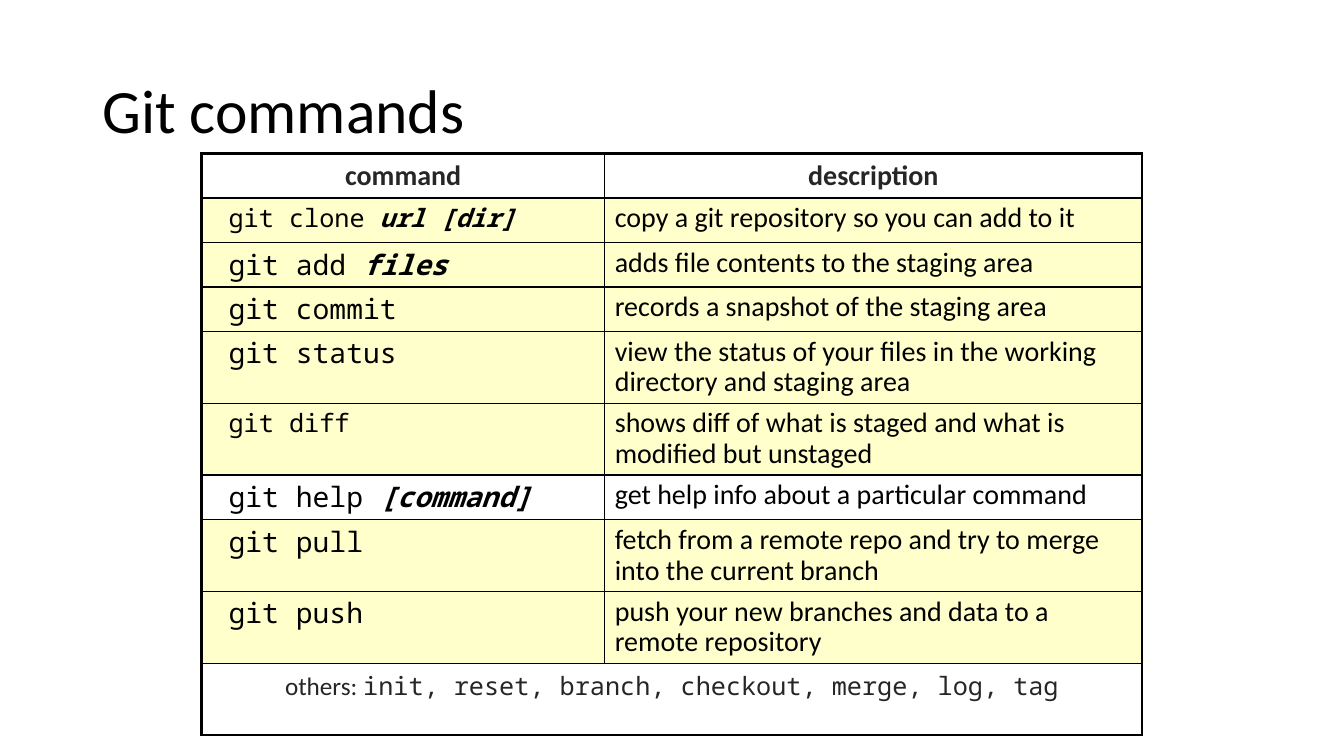
from dataclasses import dataclass

from lxml.etree import SubElement
from pptx import Presentation
from pptx.dml.color import RGBColor
from pptx.enum.text import MSO_ANCHOR, PP_ALIGN
from pptx.oxml.ns import qn
from pptx.util import Cm, Pt


@dataclass(frozen=True)
class Theme:
    ink: RGBColor = RGBColor(0, 0, 0)
    soft_ink: RGBColor = RGBColor(0x26, 0x26, 0x26)
    highlight: RGBColor = RGBColor(0xFF, 0xFF, 0xCC)
    sans: str = "Calibri"
    mono: str = "Noto Sans Mono"
    title_size: Pt = Pt(44)
    body_size: Pt = Pt(20)
    small_size: Pt = Pt(18)
    outer_line: Pt = Pt(2.25)
    inner_line: Pt = Pt(1)


theme = Theme()


def style(paragraph, size, face=theme.sans, color=theme.ink):
    paragraph.font.size = size
    paragraph.font.name = face
    paragraph.font.color.rgb = color


def draw_borders(cell, outer_sides):
    properties = cell._tc.get_or_add_tcPr()
    for side in "LRTB":
        width = theme.outer_line if side in outer_sides else theme.inner_line
        line = SubElement(properties, qn(f"a:ln{side}"), w=str(int(width)))
        SubElement(SubElement(line, qn("a:solidFill")), qn("a:srgbClr"), val=str(theme.ink))


presentation = Presentation()
presentation.slide_width, presentation.slide_height = Cm(33.87), Cm(19.05)
slide = presentation.slides.add_slide(presentation.slide_layouts[6])

# Title
title = slide.shapes.add_textbox(Cm(2.33), Cm(1.01), Cm(29.21), Cm(3.68)).text_frame
title.word_wrap = True
title.vertical_anchor = MSO_ANCHOR.MIDDLE
heading = title.paragraphs[0]
heading.text = "Git commands"
heading.line_spacing = 0.9
style(heading, theme.title_size)

# Command, argument, description, command size
commands = [
    ("git clone ", "url [dir]", "copy a git repository so you can add to it", theme.small_size),
    ("git add ", "files", "adds file contents to the staging area", theme.body_size),
    ("git commit", "", "records a snapshot of the staging area", theme.body_size),
    ("git status", "", "view the status of your files in the working directory and staging area",
     theme.body_size),
    ("git diff", "", "shows diff of what is staged and what is modified but unstaged",
     theme.small_size),
    ("git help ", "[command]", "get help info about a particular command", theme.body_size),
    ("git pull", "", "fetch from a remote repo and try to merge into the current branch",
     theme.body_size),
    ("git push", "", "push your new branches and data to a remote repository", theme.body_size),
]
plain_command = "git help "
two_line_commands = {"git status", "git diff", "git pull", "git push"}
single_row, double_row = Cm(1.12), Cm(1.81)

# Table grid
last = len(commands) + 1
table = slide.shapes.add_table(last + 1, 2, Cm(5.08), Cm(3.87), Cm(23.7), Cm(14.7)).table
table.first_row = table.horz_banding = False
table.columns[0].width, table.columns[1].width = Cm(10.16), Cm(13.54)
for row in table.rows:
    row.height = single_row
table.rows[last].height = double_row
table.cell(last, 0).merge(table.cell(last, 1))

for r in range(last + 1):
    for c, side in enumerate("LR"):
        cell = table.cell(r, c)
        merged_sides = "LR" if r == last else side
        draw_borders(cell, merged_sides + ("T" if r == 0 else "") + ("B" if r == last else ""))
        cell.fill.background()

# Header row
for c, label in enumerate(("command", "description")):
    header = table.cell(0, c).text_frame.paragraphs[0]
    header.text = label
    header.alignment = PP_ALIGN.CENTER
    style(header, theme.body_size, color=theme.soft_ink)
    header.font.bold = True

# Command rows
for r, (command, argument, description, command_size) in enumerate(commands, start=1):
    if command in two_line_commands:
        table.rows[r].height = double_row
    command_cell, description_cell = table.cell(r, 0), table.cell(r, 1)
    command_cell.margin_left = Cm(0.68)
    if command != plain_command:
        for cell in (command_cell, description_cell):
            cell.fill.solid()
            cell.fill.fore_color.rgb = theme.highlight

    usage = command_cell.text_frame.paragraphs[0]
    usage.line_spacing = 0.9
    style(usage, command_size, theme.mono)
    usage.add_run().text = command
    if argument:
        placeholder = usage.add_run()
        placeholder.text = argument
        placeholder.font.bold = placeholder.font.italic = True

    meaning = description_cell.text_frame.paragraphs[0]
    meaning.text = description
    meaning.line_spacing = 0.9
    style(meaning, theme.body_size)

# Other commands
others = table.cell(last, 0).text_frame.paragraphs[0]
others.alignment = PP_ALIGN.CENTER
style(others, theme.small_size, color=theme.soft_ink)
others.add_run().text = "others: "
other_names = others.add_run()
other_names.text = "init, reset, branch, checkout, merge, log, tag"
other_names.font.name = theme.mono

presentation.save("out.pptx")
